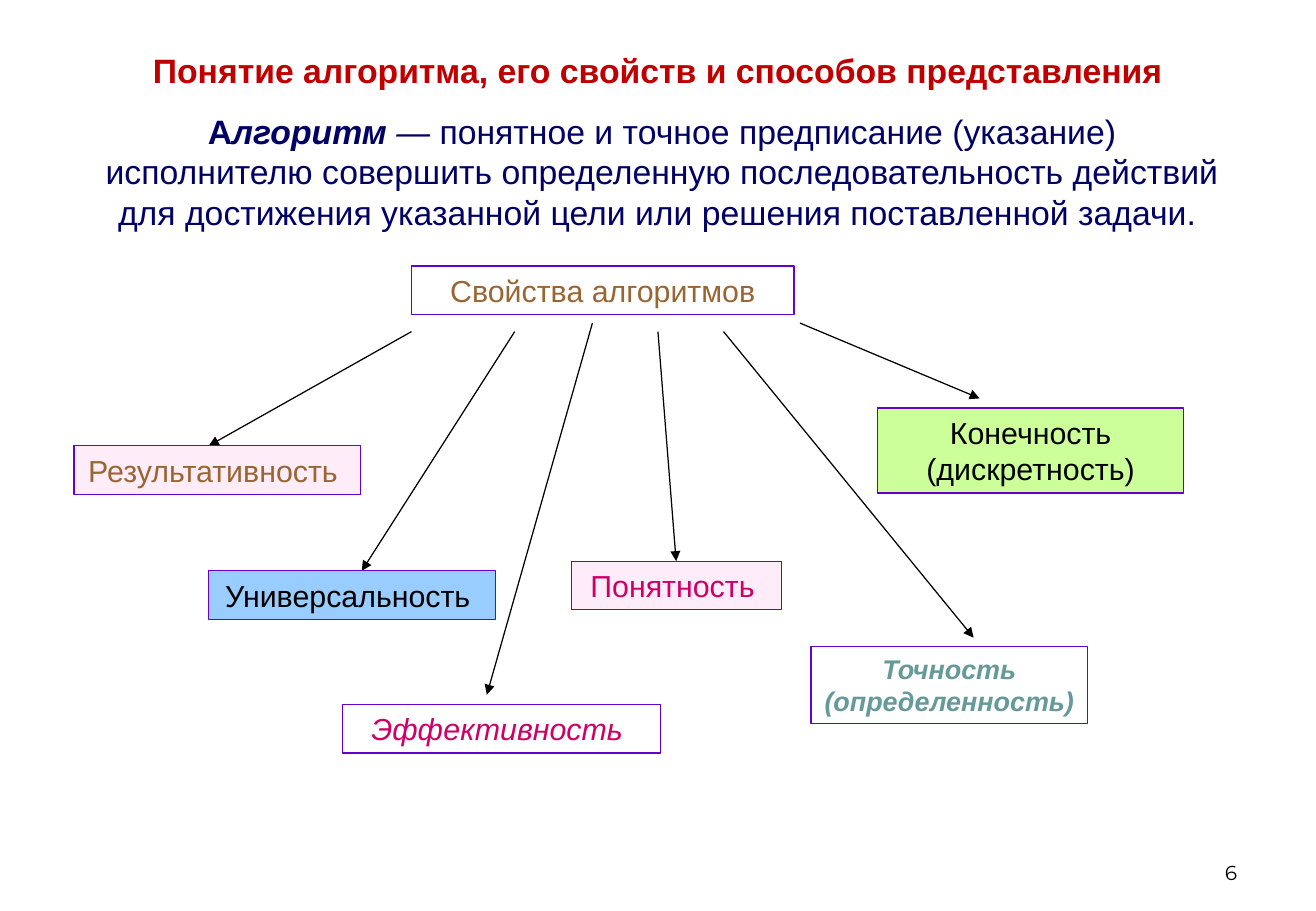
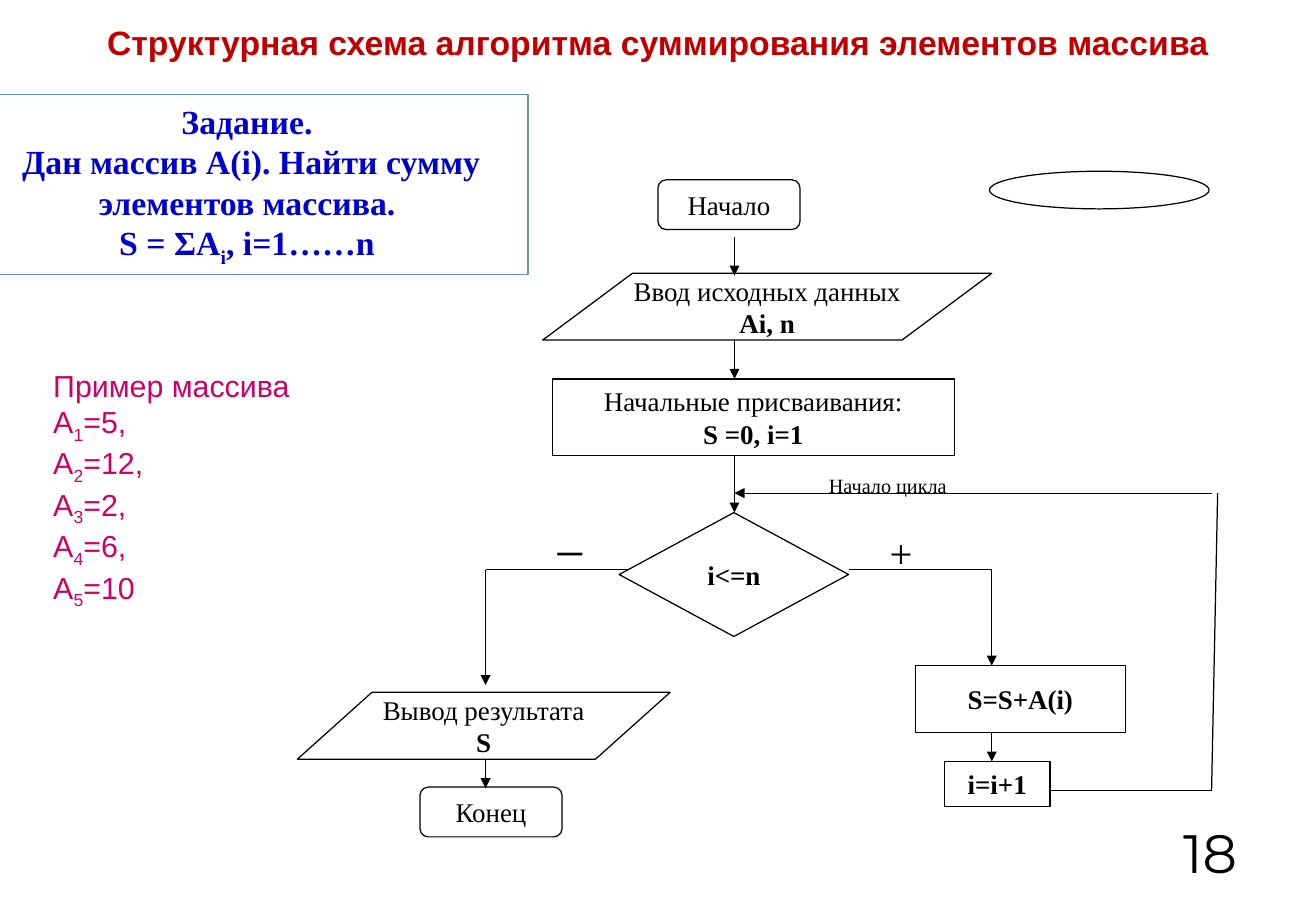
from dataclasses import dataclass
from lxml.etree import SubElement
from pptx import Presentation
from pptx.dml.color import RGBColor
from pptx.enum.shapes import MSO_CONNECTOR, MSO_SHAPE
from pptx.enum.text import MSO_ANCHOR, MSO_AUTO_SIZE, PP_ALIGN
from pptx.oxml.ns import qn
from pptx.util import Inches, Pt


@dataclass(frozen=True)
class Theme:
    # Fonts
    sans: str = "Arial"
    serif: str = "Times New Roman"
    digit: str = "Montserrat"
    # Colours
    black: str = "000000"
    red: str = "C00000"
    navy: str = "000066"
    blue: str = "0000CC"
    brown: str = "996633"
    rose: str = "CC0066"
    teal: str = "669999"
    violet: str = "6600CC"
    pink: str = "FEECF9"
    sky: str = "99CCFF"
    lime: str = "CCFF99"
    # Type sizes and line width, in points
    title: int = 20
    item: int = 18
    step: int = 16
    small: int = 12
    plus: int = 24
    huge: int = 32
    rule: float = 0.75


T = Theme()
WIDTH, HEIGHT = 10.84, 7.5
LEFT, MID, RIGHT = PP_ALIGN.LEFT, PP_ALIGN.CENTER, PP_ALIGN.RIGHT
TOP, HALF, BASE = MSO_ANCHOR.TOP, MSO_ANCHOR.MIDDLE, MSO_ANCHOR.BOTTOM


def color(code):
    return RGBColor.from_string(code)


def write(shape, lines, size, font=T.sans, ink=T.black, align=MID,
          anchor=TOP, wrap=True):
    """Each line is a list of (text, marks): b bold, i italic, _ subscript."""
    frame = shape.text_frame
    frame.auto_size = MSO_AUTO_SIZE.NONE
    frame.word_wrap = wrap
    frame.vertical_anchor = anchor
    for n, line in enumerate(lines):
        para = frame.add_paragraph() if n else frame.paragraphs[0]
        para.alignment = align
        para.space_before = Pt(0)
        for text, marks in line:
            run = para.add_run()
            run.text = text
            face = run.font
            face.name, face.size = font, Pt(size)
            face.color.rgb = color(ink)
            face.bold, face.italic = "b" in marks, "i" in marks
            if "_" in marks:
                face._element.set("baseline", "-25000")


class Area:
    """A region of a slide; its parts are placed from its top left corner."""

    def __init__(self, slide, left=0, top=0):
        self.shapes = slide.shapes
        self.left, self.top = left, top

    def place(self, x, y):
        return Inches(self.left + x), Inches(self.top + y)

    def text(self, box, lines, size, **style):
        x, y, w, h = box
        part = self.shapes.add_textbox(*self.place(x, y), Inches(w), Inches(h))
        write(part, lines, size, **style)

    def block(self, kind, box, lines=(), size=T.step, fill=None,
              edge=T.black, **style):
        x, y, w, h = box
        part = self.shapes.add_shape(kind, *self.place(x, y), Inches(w), Inches(h))
        part.shadow.inherit = False
        part.line.color.rgb = color(edge)
        part.line.width = Pt(T.rule)
        if fill:
            part.fill.solid()
            part.fill.fore_color.rgb = color(fill)
        else:
            part.fill.background()
        write(part, lines, size, **style)

    def line(self, x1, y1, x2, y2, arrow=True):
        part = self.shapes.add_connector(
            MSO_CONNECTOR.STRAIGHT, *self.place(x1, y1), *self.place(x2, y2))
        part.line.color.rgb = color(T.black)
        part.line.width = Pt(T.rule)
        if arrow:
            SubElement(part.line._get_or_add_ln(), qn("a:tailEnd"), type="triangle")
        SubElement(part._element.spPr, qn("a:effectLst"))


def start(deck, title, top, height, number, size):
    """Add a slide with the shared title and page number."""
    slide = deck.slides.add_slide(deck.slide_layouts[5])
    head = slide.shapes.title
    head.left, head.top = Inches(0), Inches(top)
    head.width, head.height = Inches(WIDTH), Inches(height)
    write(head, [[(title, "b")]], T.title, ink=T.red, anchor=HALF)
    Area(slide).text((7.76, 6.83, 2.53, 0.5), [[(number, "")]], size,
                     font=T.digit, align=RIGHT, anchor=BASE)
    return slide


def define(area):
    area.text((0, 0, 9.45, 1.1), [[
        ("А", "b"), ("лгоритм ", "bi"), ("— ", "i"),
        ("понятное и точное предписание (указание) исполнителю совершить "
         "определенную последовательность действий для достижения указанной "
         "цели или решения поставленной задачи. ", ""),
    ]], T.title, ink=T.navy, anchor=HALF)


def traits(area):
    # Arrows from the heading to each property
    for ends in [
        (4.27, 0.47, 3.4, 3.53), (5.35, 0.54, 7.41, 3.06),
        (2.78, 0.54, 1.11, 1.48), (3.63, 0.54, 2.37, 2.51),
        (5.98, 0.47, 7.46, 1.09), (4.81, 0.54, 4.96, 2.43),
    ]:
        area.line(*ends)
    # Heading and properties
    for text, box, fill, ink, marks, size in [
        ("Свойства алгоритмов", (2.78, 0, 3.15, 0.4), None, T.brown, "", T.item),
        ("Результативность ", (0, 1.48, 2.36, 0.4), T.pink, T.brown, "", T.item),
        ("Универсальность ", (1.11, 2.51, 2.36, 0.4), T.sky, T.black, "", T.item),
        ("Конечность (дискретность)", (6.62, 1.17, 2.52, 0.7), T.lime, T.black,
         "", T.item),
        ("Понятность ", (4.1, 2.43, 1.73, 0.4), T.pink, T.rose, "", T.item),
        ("Эффективность ", (2.21, 3.61, 2.62, 0.4), None, T.rose, "i", T.item),
        ("Точность (определенность)", (6.07, 3.13, 2.28, 0.64), None, T.teal,
         "bi", T.step),
    ]:
        area.block(MSO_SHAPE.RECTANGLE, box, [[(text, marks)]], size,
                   fill=fill, edge=T.violet, ink=ink)


def task(area):
    area.block(MSO_SHAPE.RECTANGLE, (0, 0, 4.56, 1.48), [
        [("Задание. ", "b")],
        [("Дан массив А(i). Найти сумму элементов массива. ", "b")],
        [("S = ΣA", "b"), ("i", "b_"), (", i=1……n ", "b")],
    ], T.title, edge=T.teal, font=T.serif, ink=T.blue)


def sample(area):
    values = [5, 12, 2, 6, 10]
    lines = [[("Пример массива", "")]]
    for n, value in enumerate(values, 1):
        comma = "," if n < len(values) else ""
        lines.append([("А", ""), (str(n), "_"), (f"={value}{comma}", "")])
    area.text((0, 0, 2.15, 2.11), lines, T.item, ink=T.rose, align=LEFT, wrap=False)


def flow(area):
    rect, data = MSO_SHAPE.RECTANGLE, MSO_SHAPE.FLOWCHART_DATA
    pill = MSO_SHAPE.FLOWCHART_ALTERNATE_PROCESS
    main, yes, no, fork, loop = 3.6, 5.72, 1.55, 3.28, 2.65
    # Steps
    area.block(MSO_SHAPE.OVAL, (5.7, 0, 1.81, 0.31))
    for kind, box, anchor, lines in [
        (pill, (2.97, 0.07, 1.17, 0.41), TOP, [[("Начало", "")]]),
        (data, (2.02, 0.84, 3.7, 0.55), HALF,
         [[("Ввод исходных данных", "")], [("Ai, n", "b")]]),
        (rect, (2.1, 1.71, 3.31, 0.63), HALF,
         [[("Начальные присваивания:", "")], [("S =0, i=1", "b")]]),
        (MSO_SHAPE.FLOWCHART_DECISION, (2.65, 2.81, 1.89, 1.02), HALF,
         [[("i<=n", "b")]]),
        (rect, (5.09, 4.07, 1.73, 0.55), HALF, [[("S=S+A(i)", "b")]]),
        (rect, (5.33, 4.86, 0.87, 0.37), TOP, [[("i=i+1", "b")]]),
        (data, (0, 4.29, 3.07, 0.55), HALF,
         [[("Вывод результата", "")], [("S", "b")]]),
        (pill, (1.01, 5.07, 1.17, 0.41), TOP, [[("Конец", "")]]),
    ]:
        area.block(kind, box, lines, font=T.serif, anchor=anchor,
                   wrap=anchor == TOP)
    # Downward arrows
    for x, y1, y2 in [
        (main, 0.54, 0.86), (main, 1.39, 1.71), (main, 2.34, 2.81),
        (yes, fork, 4.07), (yes, 4.62, 4.86),
        (no, fork, 4.23), (no, 4.84, 5.08),
    ]:
        area.line(x, y1, x, y2)
    # Branches and the way back
    for ends in [
        (4.54, fork, yes, fork), (no, fork, 2.73, fork),
        (6.19, 5.1, 7.53, 5.1), (7.53, 5.1, 7.58, loop),
    ]:
        area.line(*ends, arrow=False)
    area.line(7.53, loop, main, loop)
    # Labels
    for text, box, size, wrap in [
        ("Начало цикла", (4.28, 2.44, 1.17, 0.3), T.small, False),
        ("−", (2.02, 2.81, 0.32, 0.64), T.huge, True),
        ("+", (4.78, 2.89, 0.31, 0.5), T.plus, True),
    ]:
        area.text(box, [[(text, "")]], size, font=T.serif, align=LEFT, wrap=wrap)


def main():
    deck = Presentation()
    deck.slide_width, deck.slide_height = Inches(WIDTH), Inches(HEIGHT)

    # Properties of algorithms
    slide = start(deck, "Понятие алгоритма, его свойств и способов представления",
                  0.36, 0.44, "6", T.small)
    define(Area(slide, 0.73, 0.86))
    traits(Area(slide, 0.61, 2.19))

    # Flowchart of the array sum
    slide = start(deck, "Структурная схема алгоритма суммирования элементов массива",
                  0, 0.7, "18", T.huge)
    task(Area(slide, -0.21, 0.78))
    sample(Area(slide, 0.34, 2.97))
    flow(Area(slide, 2.45, 1.41))

    deck.save("out.pptx")


if __name__ == "__main__":
    main()
